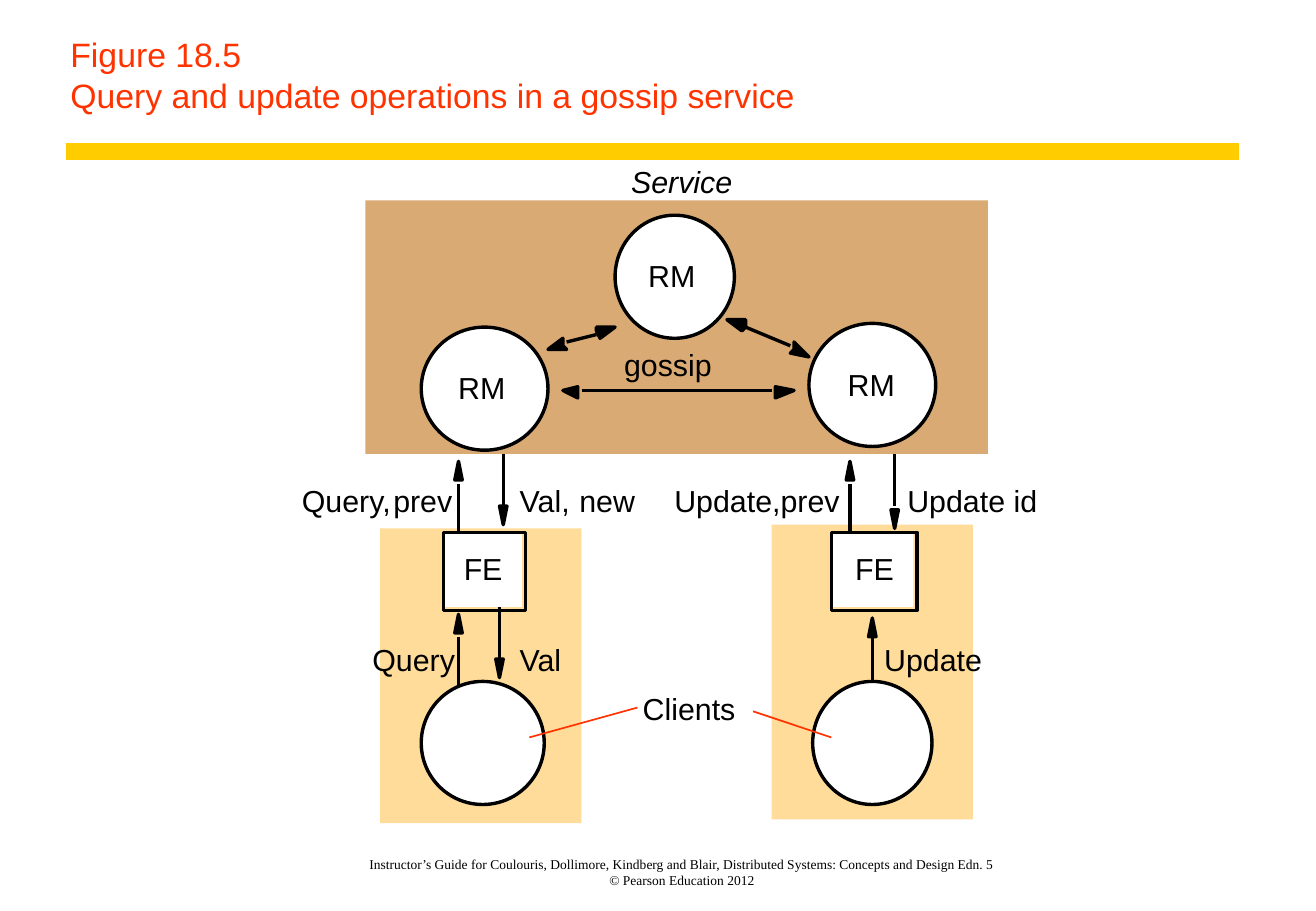
from lxml.etree import SubElement
from pptx import Presentation
from pptx.dml.color import RGBColor
from pptx.enum.shapes import MSO_CONNECTOR, MSO_SHAPE
from pptx.enum.text import MSO_ANCHOR, MSO_AUTO_SIZE, PP_ALIGN
from pptx.oxml.ns import qn
from pptx.util import Inches, Pt

BLACK = RGBColor(0x00, 0x00, 0x00)
WHITE = RGBColor(0xFF, 0xFF, 0xFF)
RED = RGBColor(0xFF, 0x33, 0x00)
YELLOW = RGBColor(0xFF, 0xCC, 0x00)
CREAM = RGBColor(0xFF, 0xDC, 0x99)
TAN = RGBColor(0xD9, 0xAA, 0x73)

SLIDE_WIDTH, SLIDE_HEIGHT = Inches(10.84), Inches(7.5)
CELL = SLIDE_WIDTH / 353
SERVICE_COLUMN, SERVICE_ROW = 98, 53.7

TITLE = ["Figure 18.5", "Query and update operations in a gossip service"]
FOOTER = [
    "Instructor’s Guide for Coulouris, Dollimore, Kindberg and Blair, "
    "Distributed Systems: Concepts and Design Edn. 5",
    "© Pearson Education 2012",
]
TITLE_AREA = (-79.1, -53.5, 308, 30.6)
FOOTER_AREA = (-22.5, 171.8, 214.9, 12.7)
TITLE_BAR = ((-80.4, -13), (234.3, -13))

SERVICE = (0, 0, 167, 68)
CLIENT_AREAS = [(4, 88, 54, 79), (109, 87, 54, 79)]
FRONT_ENDS = [(21, 89, 22, 21), (125, 89, 23, 21)]
REPLICAS = [(15, 34, 34, 33), (119, 33, 34, 33), (67, 4, 32, 33)]
CLIENTS = [(15, 129, 33, 33), (120, 129, 32, 33)]

MESSAGES = [
    (142, 68, 82, 88),
    (37, 68, 82, 87),
    (136, 129, 117, 112),
    (25, 131, 117, 111),
    (36, 109, 123, 128),
    (25, 89, 76, 70),
    (130, 89, 76, 70),
]
GOSSIP_LINES = [((54, 38), (62, 36)), ((58, 51), (109, 51)), ((102, 34), (114, 39))]
GOSSIP_HEADS = [
    [(53, 39), (54, 40), (49, 40), (53, 37)],
    [(62, 35), (62, 34), (67, 34), (63, 37)],
    [(57, 51), (57, 53), (53, 51), (57, 50)],
    [(110, 51), (110, 50), (115, 51), (110, 53)],
    [(102, 34), (101, 35), (97, 32), (102, 32)],
    [(115, 40), (115, 38), (119, 42), (114, 41)],
]
CLIENT_POINTERS = [((44, 144), (73, 136)), ((125, 144), (104, 137))]

UPPER_ROW, LOWER_ROW, FE_ROW = 75.6, 118.3, 93.8
LABELS = [
    ("Query", 1.9, LOWER_ROW, 24),
    ("Val", 41.4, LOWER_ROW, 13),
    ("Update", 139.2, LOWER_ROW, 28),
    ("Query,", -17, UPPER_ROW, 27),
    ("prev", 7.5, UPPER_ROW, 17),
    ("Val,", 41.4, UPPER_ROW, 16.5),
    ("new", 57.4, UPPER_ROW, 17),
    ("Update,", 82.9, UPPER_ROW, 31),
    ("prev", 111.4, UPPER_ROW, 17),
    ("Update id", 145.4, UPPER_ROW, 37),
    ("FE", 26.4, FE_ROW, 11.5),
    ("FE", 131.4, FE_ROW, 11.5),
    ("RM", 24.9, 45.3, 14),
    ("RM", 129.4, 44.5, 14),
    ("RM", 75.9, 15.3, 14),
    ("Clients", 74.4, 131.3, 27),
    ("gossip", 69.4, 39.1, 26),
]
SERVICE_LABEL = ("Service", 71.3, -9.9, 30)
LABEL_ROWS = 9.8

presentation = Presentation()
presentation.slide_width, presentation.slide_height = SLIDE_WIDTH, SLIDE_HEIGHT
slide = presentation.slides.add_slide(presentation.slide_layouts[6])


def place(column, row):
    return round((SERVICE_COLUMN + column) * CELL), round((SERVICE_ROW + row) * CELL)


def area(column, row, columns, rows):
    return *place(column, row), round(columns * CELL), round(rows * CELL)


def finish(shape, fill, outline):
    shape.shadow.inherit = False
    if fill is None:
        shape.fill.background()
    else:
        shape.fill.solid()
        shape.fill.fore_color.rgb = fill
    if outline is None:
        shape.line.fill.background()
    else:
        shape.line.color.rgb = outline
        shape.line.width = Pt(2)


def add_block(kind, bounds, fill=None, outline=None):
    finish(slide.shapes.add_shape(kind, *area(*bounds)), fill, outline)


def add_line(start, end, color=BLACK, width=2):
    line = slide.shapes.add_connector(MSO_CONNECTOR.STRAIGHT, *place(*start), *place(*end))
    line.line.color.rgb = color
    line.line.width = Pt(width)
    SubElement(line.element.spPr, qn("a:effectLst"))


def add_head(corners):
    first, *others = [place(*corner) for corner in corners]
    builder = slide.shapes.build_freeform(*first)
    builder.add_line_segments(others, close=True)
    finish(builder.convert_to_shape(), BLACK, BLACK)


def add_text(lines, bounds, size=18, font="Arial", color=BLACK, italic=False,
             align=PP_ALIGN.LEFT, anchor=MSO_ANCHOR.TOP, wrap=False):
    frame = slide.shapes.add_textbox(*area(*bounds)).text_frame
    frame.margin_left = frame.margin_right = frame.margin_top = frame.margin_bottom = 0
    frame.word_wrap = wrap
    frame.auto_size = MSO_AUTO_SIZE.NONE if wrap else MSO_AUTO_SIZE.SHAPE_TO_FIT_TEXT
    frame.vertical_anchor = anchor
    paragraph = frame.paragraphs[0]
    paragraph.alignment = align
    for number, line in enumerate(lines):
        if number:
            paragraph.add_line_break()
        run = paragraph.add_run()
        run.text = line
        run.font.size = Pt(size)
        run.font.name = font
        run.font.italic = italic
        run.font.color.rgb = color


add_text(FOOTER, FOOTER_AREA, size=8, font="Times New Roman",
         align=PP_ALIGN.CENTER, anchor=MSO_ANCHOR.BOTTOM, wrap=True)
add_line(*TITLE_BAR, color=YELLOW, width=10)
add_text(TITLE, TITLE_AREA, size=20, color=RED, anchor=MSO_ANCHOR.BOTTOM, wrap=True)

for client_area in CLIENT_AREAS:
    add_block(MSO_SHAPE.RECTANGLE, client_area, fill=CREAM)
add_block(MSO_SHAPE.RECTANGLE, SERVICE, fill=TAN)

for column, tail, end, tip in MESSAGES:
    base = tip - 5 if tip > tail else tip + 5
    add_head([(column - 1, base), (column, tip), (column + 1, base)])
    add_line((column, tail), (column, end))

for column, row, columns, rows in FRONT_ENDS:
    add_block(MSO_SHAPE.RECTANGLE, (column, row, columns - 1, rows - 1), fill=WHITE)
    add_block(MSO_SHAPE.RECTANGLE, (column, row, columns, rows), outline=BLACK)
for circle in REPLICAS + CLIENTS:
    add_block(MSO_SHAPE.OVAL, circle, fill=WHITE, outline=BLACK)

for corners in GOSSIP_HEADS:
    add_head(corners)
for start, end in GOSSIP_LINES:
    add_line(start, end)
for start, end in CLIENT_POINTERS:
    add_line(start, end, color=RED, width=1)
for label, column, row, columns in LABELS + [SERVICE_LABEL]:
    add_text([label], (column, row, columns, LABEL_ROWS), italic=label == "Service")

presentation.save("out.pptx")
